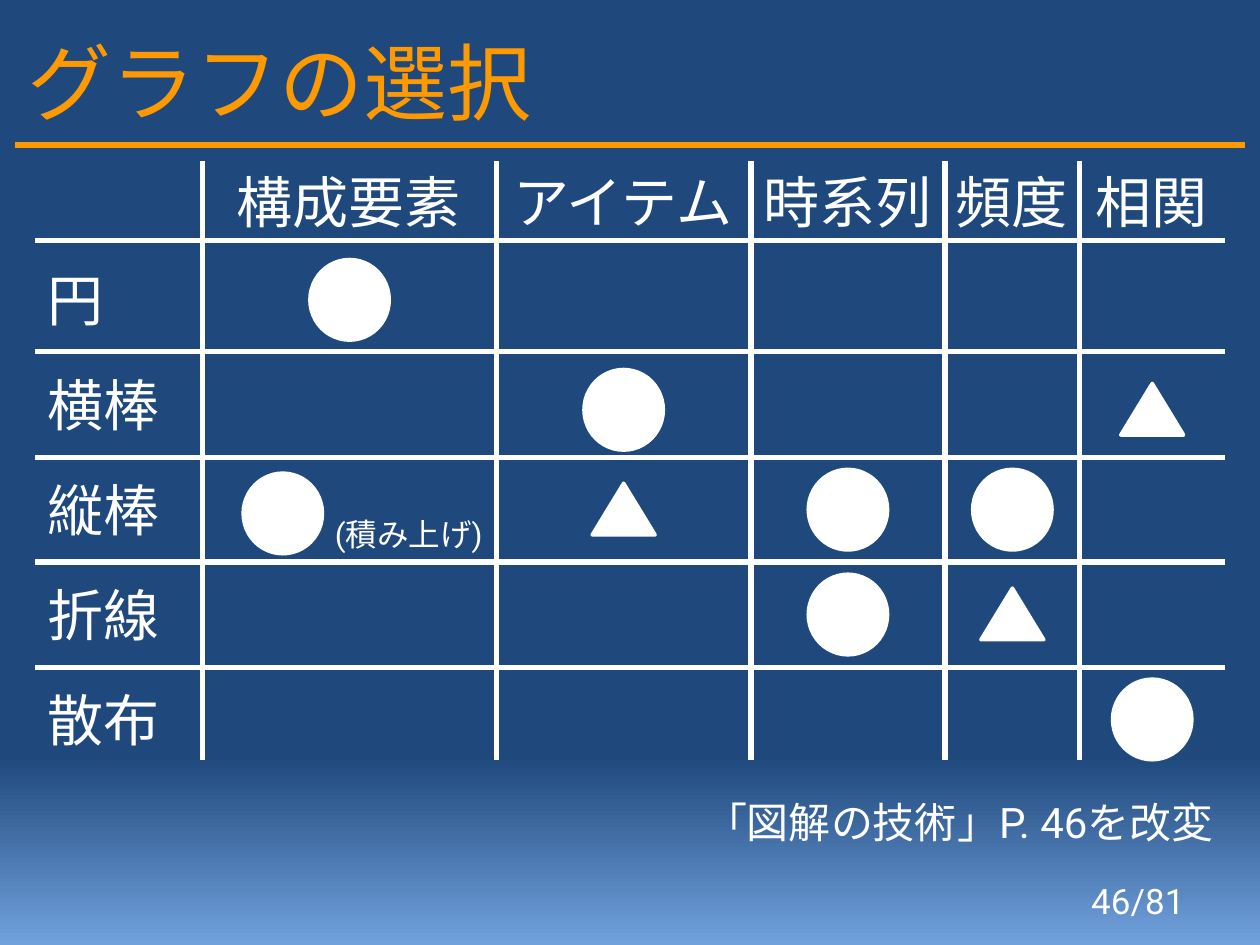
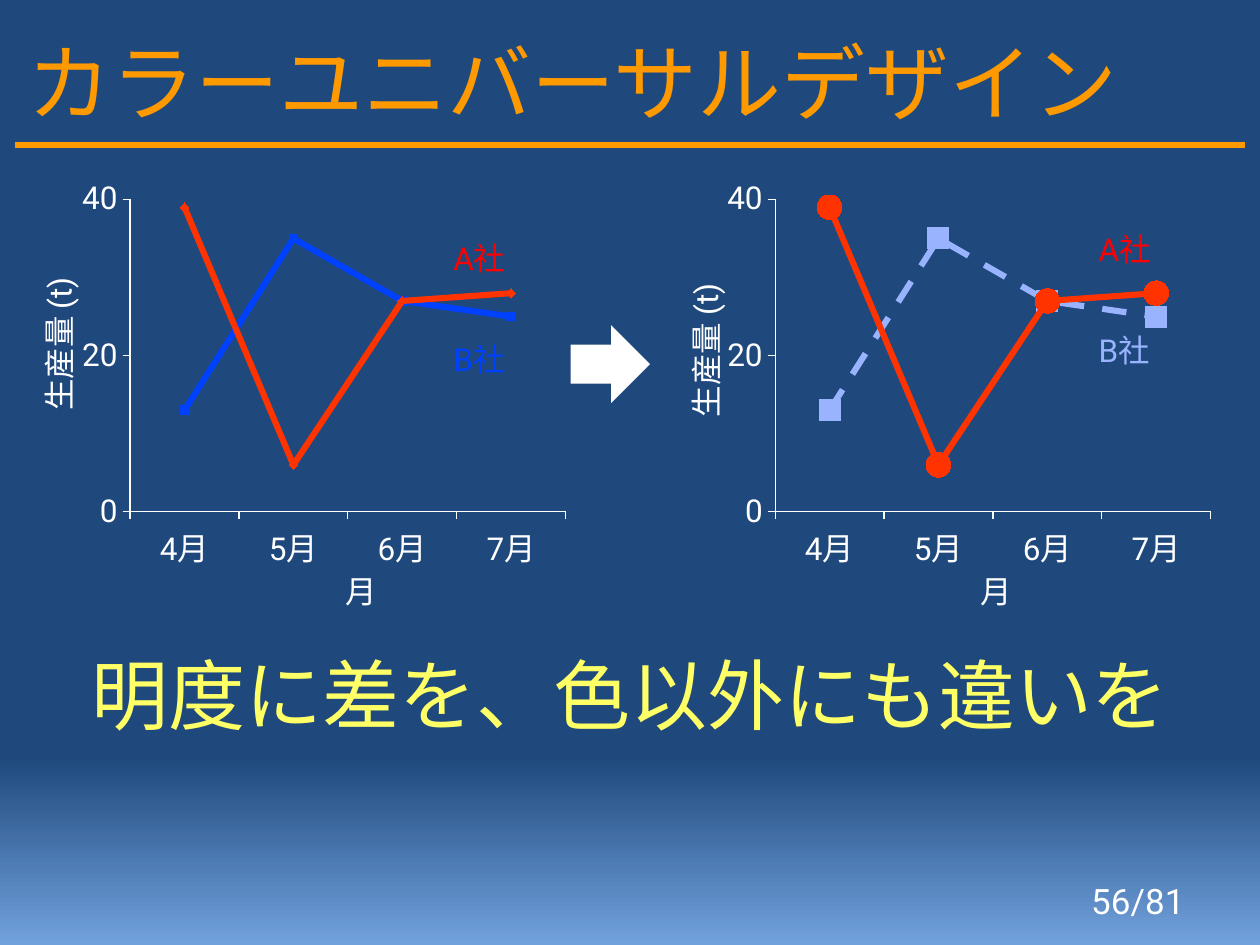
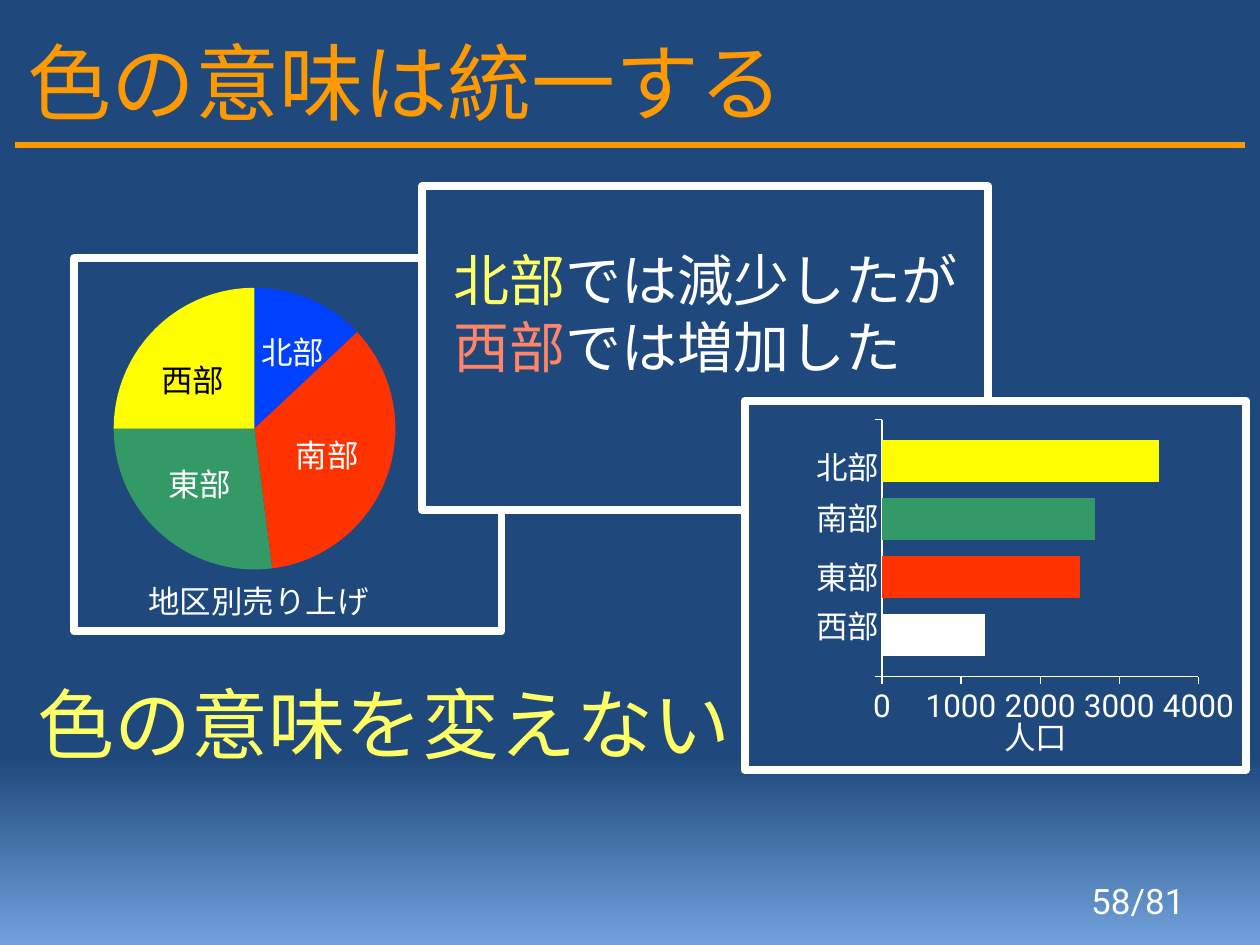
"""Build three slides on choosing charts and using colour consistently."""
from copy import deepcopy

from pptx import Presentation
from pptx.chart.data import CategoryChartData
from pptx.dml.color import RGBColor
from pptx.enum.chart import XL_CHART_TYPE as CT, XL_MARKER_STYLE as MARK
from pptx.enum.chart import XL_TICK_LABEL_POSITION as LABELS, XL_TICK_MARK as TICK
from pptx.enum.dml import MSO_LINE
from pptx.enum.shapes import MSO_CONNECTOR, MSO_SHAPE
from pptx.enum.text import MSO_ANCHOR, MSO_AUTO_SIZE, PP_ALIGN
from pptx.oxml import parse_xml
from pptx.oxml.ns import nsdecls
from pptx.util import Inches, Pt

NAVY, SKY, ORANGE, WHITE, BLACK = "1F497D", "71A1DC", "FF9900", "FFFFFF", "000000"
YELLOW, CREAM, RED, VERMILION = "FFFF00", "FFFF66", "FF0000", "FF3300"
SALMON, BLUE, PALE_BLUE, GREEN = "FF8566", "0041FF", "99B3FF", "339966"
FONT, TITLE_FONT = "Roboto", "Calibri"
LEFT, CENTER, RIGHT = PP_ALIGN.LEFT, PP_ALIGN.CENTER, PP_ALIGN.RIGHT

USES = ["構成要素", "アイテム", "時系列", "頻度", "相関"]
GRAPHS = ["円", "横棒", "縦棒", "折線", "散布"]
COL_EDGES = [1.61, 3.94, 5.96, 7.5, 8.57, 9.72]
ROW_EDGES = [1.91, 2.79, 3.63, 4.46, 5.3]
TABLE_LEFT, TABLE_TOP, TABLE_BOTTOM = 0.28, 1.28, 6.03
ROW_TOP, ROW_STEP = 2.06, 3.33 / 4
# (row, column, horizontal shift, vertical shift)
CIRCLES = [(0, 0, 0, 0), (1, 1, 0, 0.04), (2, 0, -0.53, 0.03), (2, 2, 0, 0),
           (3, 2, 0, 0), (2, 3, 0, 0), (4, 4, 0, 0)]
TRIANGLES = [(2, 1, 0, 0), (3, 3, 0, 0), (1, 4, 0, 0.04)]

MONTHS = ["4月", "5月", "6月", "7月"]
OUTPUT_B, OUTPUT_A = [13, 35, 27, 25], [39, 6, 27, 28]
LINE_CHARTS = [
    {"left": 0.59, "month": 2.64, "top": 1.85, "unit": (-0.24, 2.45), "b": BLUE,
     "styles": [(BLUE, MARK.SQUARE, 5, None), (VERMILION, MARK.DIAMOND, 5, None)]},
    {"left": 5.71, "month": 7.68, "top": 1.78, "unit": (4.89, 2.5), "b": PALE_BLUE,
     "styles": [(PALE_BLUE, MARK.SQUARE, 12, MSO_LINE.DASH),
                (VERMILION, MARK.CIRCLE, 14, None)]},
]

SALES = [13, 35, 27, 25]
SALES_COLOURS = [BLUE, VERMILION, GREEN, YELLOW]
SALES_LABELS = [("北部", 1.97, 2.59, 0.71, WHITE), ("南部", 2.24, 3.41, 0.71, WHITE),
                ("東部", 1.22, 3.64, 0.73, WHITE), ("西部", 1.14, 2.82, 0.78, BLACK),
                ("地区別売り上げ", 0.91, 4.57, 2.28, WHITE)]
MESSAGE = [[("北部", CREAM), ("では減少したが", WHITE)],
           [("西部", SALMON), ("では増加した", WHITE)]]
POPULATION = [(1300, WHITE), (2500, VERMILION), (2700, GREEN), (3500, YELLOW)]
POPULATION_LABELS = [("北部", 3.51), ("南部", 3.91), ("東部", 4.38), ("西部", 4.77)]


def rgb(value):
    """Turn a hex string into a colour."""
    return RGBColor.from_string(value)


def box(*lengths):
    """Convert lengths in inches."""
    return [Inches(v) for v in lengths]


def style(font, size, colour, name=FONT):
    """Set the size, colour and typeface of a font."""
    font.size, font.name = Pt(size), name
    font.color.rgb = rgb(colour)


def fill_text(sp, text, size, colour, align=LEFT, name=FONT):
    """Write one paragraph into a shape."""
    tf = sp.text_frame
    tf.text, tf.word_wrap, tf.auto_size = text, True, MSO_AUTO_SIZE.NONE
    p = tf.paragraphs[0]
    p.alignment = align
    style(p.runs[0].font, size, colour, name)


def label(s, text, at, size=18, colour=WHITE, align=LEFT):
    """Add a text box."""
    sp = s.shapes.add_textbox(*box(*at))
    fill_text(sp, text, size, colour, align)
    return sp


def place(sp, at):
    """Move and resize a placeholder."""
    sp.left, sp.top, sp.width, sp.height = box(*at)


def shape(s, kind, at, colour, outline=0):
    """Add a filled shape, with a white outline if a width is given."""
    sp = s.shapes.add_shape(kind, *box(*at))
    sp.shadow.inherit = False
    sp.fill.solid()
    sp.fill.fore_color.rgb = rgb(colour)
    if outline:
        sp.line.color.rgb, sp.line.width = rgb(WHITE), Pt(outline)
    else:
        sp.line.fill.background()


def line(s, start, end, colour=WHITE, width=3):
    """Add a straight line."""
    sp = s.shapes.add_connector(MSO_CONNECTOR.STRAIGHT, *box(*start, *end))
    sp.line.color.rgb, sp.line.width = rgb(colour), Pt(width)
    sp.element.spPr.append(parse_xml(f"<a:effectLst {nsdecls('a')}/>"))
    return sp


def set_background(master):
    """Give the master its navy to sky gradient."""
    fill = master.background.fill
    fill.gradient()
    fill.gradient_angle = 270
    first, last = fill.gradient_stops
    first.color.rgb, last.color.rgb = rgb(NAVY), rgb(SKY)
    gs = master.element.xpath(".//p:bg//a:gs")[0]
    middle = deepcopy(gs)
    middle.set("pos", "80000")
    gs.addnext(middle)


def new_slide(prs, title, number, lead=None, lead_at=None, align=LEFT):
    """Add a slide with title, page number and an optional closing line."""
    s = prs.slides.add_slide(prs.slide_layouts[1 if lead else 5])
    place(s.shapes.title, (0.12, 0.21, 9.38, 0.87))
    fill_text(s.shapes.title, title, 48, ORANGE, name=TITLE_FONT)
    s.shapes.title.text_frame.vertical_anchor = MSO_ANCHOR.MIDDLE
    sp = label(s, f"{number}/81", (7.17, 6.95, 2.33, 0.4), 20, align=RIGHT)
    sp.text_frame.vertical_anchor = MSO_ANCHOR.MIDDLE
    if lead:
        body = s.placeholders[1]
        place(body, lead_at)
        fill_text(body, lead, 44, CREAM, align)
        p = body.text_frame.paragraphs[0]
        p.space_before = Pt(0)
        pPr = p._p.get_or_add_pPr()
        pPr.set("marL", "0")
        pPr.set("indent", "0")
        pPr.append(parse_xml(f"<a:buNone {nsdecls('a')}/>"))
    return s


def add_chart(s, kind, at, cats, rows, plot_at):
    """Add a chart whose plot area takes the given fractions of its frame."""
    data = CategoryChartData()
    data.categories = cats
    for i, values in enumerate(rows, 1):
        data.add_series(f"Series {i}", values)
    chart = s.shapes.add_chart(kind, *box(*at), data).chart
    chart.has_legend = chart.has_title = False
    style(chart.font, 18, WHITE)
    area = chart.element.xpath("c:chart/c:plotArea")[0]
    for old in area.xpath("c:layout"):
        area.remove(old)
    sizes = "".join(f'<c:{k} val="{v}"/>' for k, v in zip("xywh", plot_at))
    area.insert(0, parse_xml(
        f'<c:layout {nsdecls("c")}><c:manualLayout><c:layoutTarget val="inner"/>'
        f'<c:xMode val="edge"/><c:yMode val="edge"/>{sizes}</c:manualLayout></c:layout>'))
    return chart


def format_axes(chart, top, step):
    """Scale the value axis and draw both axes as thin white lines."""
    value = chart.value_axis
    value.minimum_scale, value.maximum_scale, value.major_unit = 0, top, step
    for axis in (chart.category_axis, value):
        axis.has_major_gridlines = False
        axis.major_tick_mark, axis.minor_tick_mark = TICK.OUTSIDE, TICK.NONE
        axis.format.line.color.rgb = rgb(WHITE)
        axis.format.line.width = Pt(0.75)


def add_marks(s, kind, marks, width, height, drop):
    """Centre marks in their table columns."""
    for row, col, dx, dy in marks:
        middle = (COL_EDGES[col] + COL_EDGES[col + 1]) / 2
        top = ROW_TOP + row * ROW_STEP + drop
        shape(s, kind, (middle - width / 2 + dx, top + dy, width, height), WHITE, 2)


def choice_slide(prs):
    """Show which graph suits which comparison."""
    s = new_slide(prs, "グラフの選択", 46)
    for use, left, right in zip(USES, COL_EDGES, COL_EDGES[1:]):
        label(s, use, (left - 0.02, TABLE_TOP, right - left + 0.03, 0.64), 32, align=CENTER)
        line(s, (left, TABLE_BOTTOM), (left, TABLE_TOP))
    for i, (graph, y) in enumerate(zip(GRAPHS, ROW_EDGES)):
        label(s, graph, (TABLE_LEFT, ROW_TOP + i * ROW_STEP, 1.42, 0.64), 32)
        line(s, (COL_EDGES[-1], y), (TABLE_LEFT, y))
    add_marks(s, MSO_SHAPE.OVAL, CIRCLES, 0.63, 0.64, 0)
    add_marks(s, MSO_SHAPE.ISOSCELES_TRIANGLE, TRIANGLES, 0.5, 0.41, 0.11)
    label(s, "(積み上げ)", (2.56, 4.04, 1.65, 0.4))
    label(s, "「図解の技術」P. 46を改変", (5.08, 6.27, 4.65, 0.5), 24, align=RIGHT)


def universal_slide(prs):
    """Compare a line chart before and after the accessible redesign."""
    s = new_slide(prs, "カラーユニバーサルデザイン", 56, "明度に差を、色以外にも違いを",
                  (0.52, 5.09, 8.97, 0.87), CENTER)
    for spec in LINE_CHARTS:
        left, top = spec["left"], spec["top"]
        chart = add_chart(s, CT.LINE_MARKERS, (left, 1.39, 4.02, 3.22), MONTHS,
                          [OUTPUT_B, OUTPUT_A], (0.11, 0.06, 0.86, 0.77))
        format_axes(chart, 40, 20)
        for series, (colour, mark, size, dash) in zip(chart.plots[0].series, spec["styles"]):
            series.smooth = False
            stroke = series.format.line
            stroke.color.rgb, stroke.width = rgb(colour), Pt(3.5)
            if dash:
                stroke.dash_style = dash
            marker = series.marker
            marker.style, marker.size = mark, size
            marker.format.fill.solid()
            marker.format.fill.fore_color.rgb = rgb(colour)
            marker.format.line.fill.background()
        label(s, "A社", (left + 2.91, top, 1.18, 0.4), colour=RED)
        label(s, "B社", (left + 2.91, top + 0.8, 1.02, 0.4), colour=spec["b"])
        label(s, "月", (spec["month"], 4.49, 0.55, 0.4))
        label(s, "生産量 (t)", (*spec["unit"], 1.42, 0.4)).rotation = 270
    shape(s, MSO_SHAPE.RIGHT_ARROW, (4.53, 2.58, 0.63, 0.62), WHITE)


def meaning_slide(prs):
    """Show three panels in which one region changes colour."""
    s = new_slide(prs, "色の意味は統一する", 58, "色の意味を変えない", (0.2, 5.32, 6.3, 0.87))

    shape(s, MSO_SHAPE.RECTANGLE, (0.59, 2.05, 3.39, 2.96), NAVY, 4.5)
    chart = add_chart(s, CT.PIE, (0.43, 2.13, 3.15, 2.52), ["1", "2", "3", "4"], [SALES],
                      (0.15, 0.06, 0.71, 0.89))
    for i, colour in enumerate(SALES_COLOURS):
        fmt = chart.plots[0].series[0].points[i].format
        fmt.fill.solid()
        fmt.fill.fore_color.rgb = rgb(colour)
        fmt.line.fill.background()
    for text, left, top, width, colour in SALES_LABELS:
        label(s, text, (left, top, width, 0.4), colour=colour, align=CENTER)

    shape(s, MSO_SHAPE.RECTANGLE, (3.35, 1.48, 4.49, 2.57), NAVY, 4.5)
    tf = s.shapes.add_textbox(*box(3.5, 1.9, 4.72, 1.18)).text_frame
    tf.word_wrap = True
    for i, parts in enumerate(MESSAGE):
        p = tf.add_paragraph() if i else tf.paragraphs[0]
        for text, colour in parts:
            r = p.add_run()
            r.text = text
            style(r.font, 32, colour)

    shape(s, MSO_SHAPE.RECTANGLE, (5.91, 3.18, 3.98, 2.93), NAVY, 4.5)
    chart = add_chart(s, CT.BAR_CLUSTERED, (6.88, 3.28, 2.99, 2.52), ["1"],
                      [[value] for value, _ in POPULATION], (0.04, 0.02, 0.84, 0.81))
    format_axes(chart, 4000, 1000)
    chart.category_axis.tick_label_position = LABELS.NONE
    plot = chart.plots[0]
    plot.vary_by_categories, plot.gap_width, plot.overlap = False, 100, -40
    for series, (_, colour) in zip(plot.series, POPULATION):
        series.format.fill.solid()
        series.format.fill.fore_color.rgb = rgb(colour)
    for text, top in POPULATION_LABELS:
        label(s, text, (6.38, top, 0.87, 0.44))
    label(s, "人口", (7.87, 5.65, 0.71, 0.4))


def main():
    """Set up the master, build the slides and save."""
    prs = Presentation()
    prs.slide_width, prs.slide_height = box(10, 7.5)
    master = prs.slide_master
    set_background(master)
    choice_slide(prs)
    rule = line(prs.slides[0], (0.12, 1.15), (9.88, 1.15), ORANGE, 3.5)
    master.element.cSld.spTree.append(rule.element)
    universal_slide(prs)
    meaning_slide(prs)
    prs.save("out.pptx")


if __name__ == "__main__":
    main()
